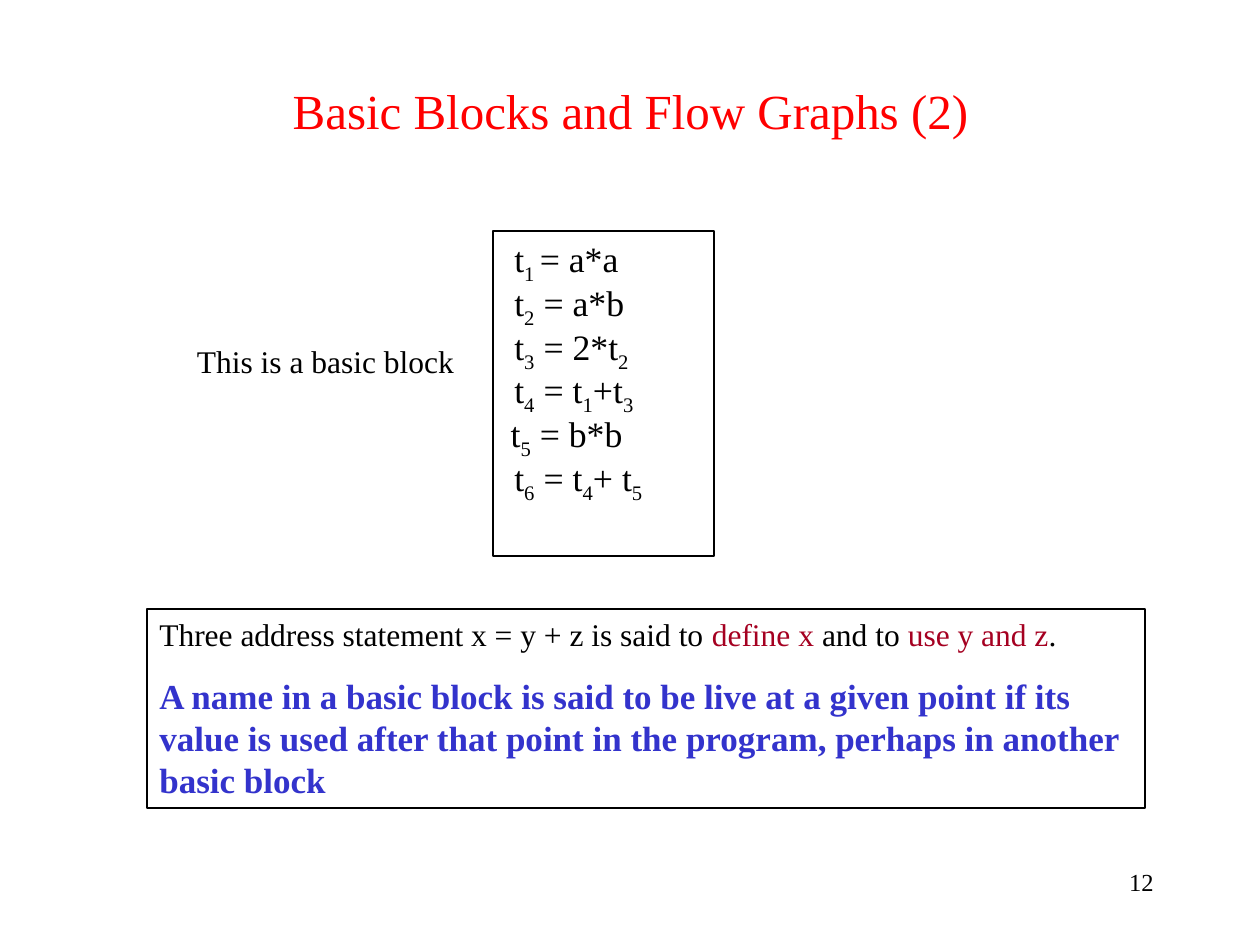
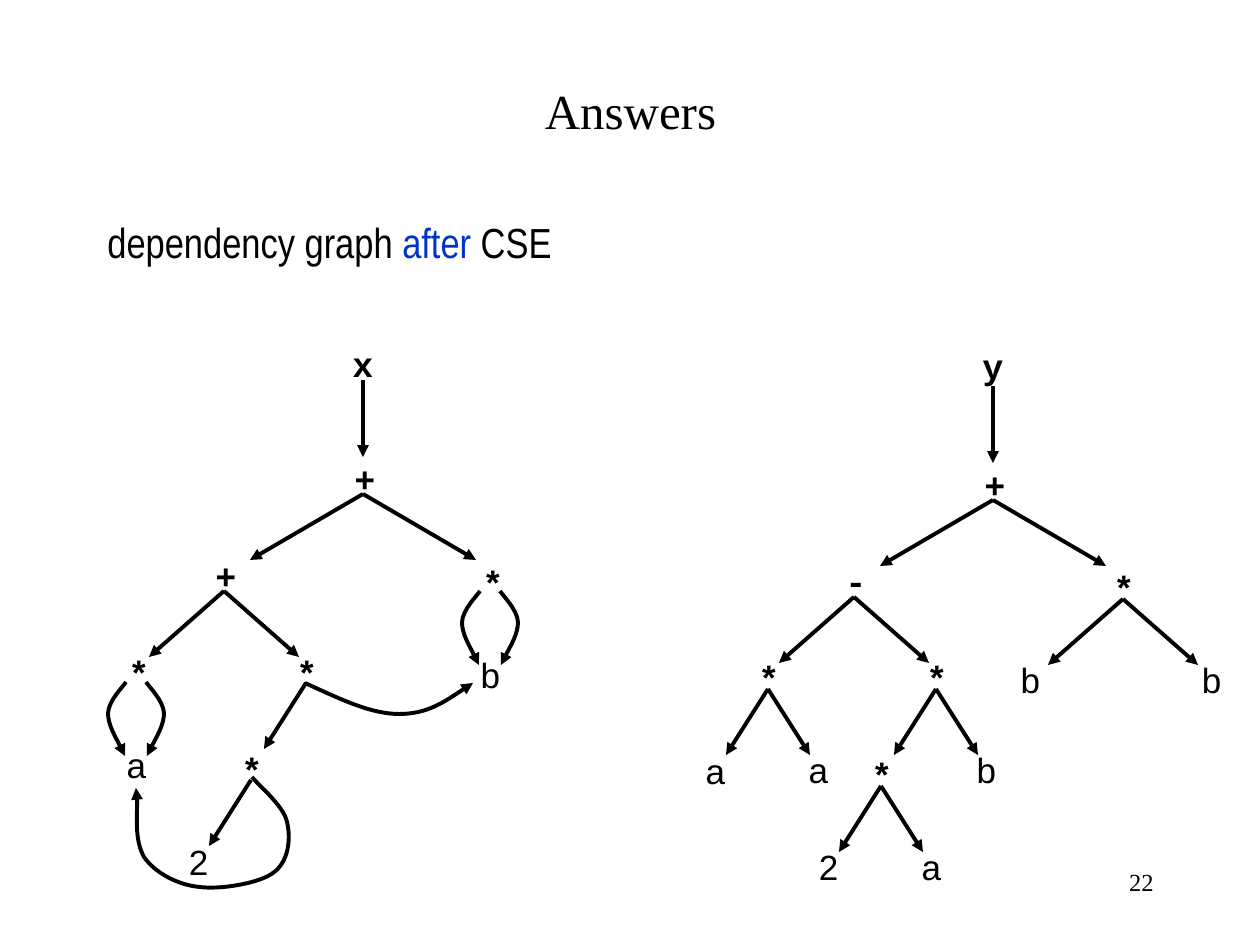
from dataclasses import dataclass

from lxml import etree
from pptx import Presentation
from pptx import util as u
from pptx.dml.color import RGBColor
from pptx.enum import shapes, text
from pptx.oxml.ns import qn

EMU_PER_PX = 914400 / 126


def px(length):
    return u.Emu(round(length * EMU_PER_PX))


@dataclass(frozen=True)
class Theme:
    black: str = "000000"
    red: str = "FF0000"
    crimson: str = "A50021"
    indigo: str = "3333CC"
    blue: str = "0033CC"
    serif: str = "Times New Roman"
    sans: str = "Arial"
    narrow: str = "Arial Narrow"
    mono: str = "Courier New"
    title: float = 28
    lead: float = 24
    code: float = 20.4
    node: float = 20
    emphasis: float = 20
    note: float = 18
    number: float = 14
    frame: float = 0.75
    edge: float = 2.25


class Deck:
    def __init__(self, theme):
        self.theme = theme
        self.presentation = Presentation()
        self.presentation.slide_width = px(1260)
        self.presentation.slide_height = px(945)
        self.slide = None

    def start(self, title, number, color):
        layout = self.presentation.slide_layouts[6]
        self.slide = self.presentation.slides.add_slide(layout)
        theme = self.theme
        self.text((903, 861, 263, 63), [[(number, {})]], theme.number,
                  align=text.PP_ALIGN.RIGHT)
        self.text((95, 31, 1071, 158), [[(title, {"color": color})]], theme.title,
                  align=text.PP_ALIGN.CENTER, anchor=text.MSO_ANCHOR.MIDDLE)

    def text(self, area, paragraphs, size, font=None, align=text.PP_ALIGN.LEFT,
             anchor=text.MSO_ANCHOR.TOP, framed=False, wrap=True,
             line_spacing=None, gap=0, hanging=0):
        box = [px(length) for length in area]
        if framed:
            shape = self.slide.shapes.add_shape(shapes.MSO_SHAPE.RECTANGLE, *box)
            shape.shadow.inherit = False
            shape.fill.background()
            shape.line.color.rgb = RGBColor.from_string(self.theme.black)
            shape.line.width = u.Pt(self.theme.frame)
        else:
            shape = self.slide.shapes.add_textbox(*box)
        frame = shape.text_frame
        frame.word_wrap = wrap
        frame.vertical_anchor = anchor
        for index, runs in enumerate(paragraphs):
            paragraph = frame.add_paragraph() if index else frame.paragraphs[0]
            paragraph.alignment = align
            paragraph.line_spacing = line_spacing
            if hanging:
                properties = paragraph._p.get_or_add_pPr()
                properties.set("marL", str(px(hanging)))
                properties.set("indent", str(-px(hanging)))
            if index and gap:
                paragraph.space_before = u.Pt(gap)
            for words, style in runs:
                self.run(paragraph, words, **{"size": size, "font": font, **style})

    def run(self, paragraph, words, size, font, color=None, bold=False, subscript=False):
        run = paragraph.add_run()
        run.text = words
        run.font.name = font or self.theme.serif
        run.font.size = u.Pt(size)
        run.font.bold = bold
        run.font.color.rgb = RGBColor.from_string(color or self.theme.black)
        if subscript:
            run.font._element.set("baseline", "-25000")

    def node(self, label, center, top):
        leaf = label in "ab2"
        font, half_width = (self.theme.sans, 22) if leaf else (self.theme.mono, 23)
        self.text((center - half_width, top, 45, 55), [[(label, {"bold": not leaf})]],
                  self.theme.node, font, align=text.PP_ALIGN.CENTER, wrap=False)

    def finish_edge(self, shape):
        shape.line.color.rgb = RGBColor.from_string(self.theme.black)
        shape.line.width = u.Pt(self.theme.edge)
        line = shape.line._get_or_add_ln()
        etree.SubElement(line, qn("a:tailEnd"), type="triangle")
        etree.SubElement(shape._element.spPr, qn("a:effectLst"))

    def arrow(self, start, end):
        points = [px(length) for length in (*start, *end)]
        self.finish_edge(self.slide.shapes.add_connector(
            shapes.MSO_CONNECTOR.STRAIGHT, *points))

    def fork(self, apex, half_width, drop, sides=(-1, 1)):
        x, y = apex
        for side in sides:
            self.arrow(apex, (x + side * half_width, y + drop))

    def curve(self, points):
        start, *controls = [(px(x), px(y)) for x, y in points]
        builder = self.slide.shapes.build_freeform(*start)
        builder.add_line_segments(controls, close=False)
        shape = builder.convert_to_shape()
        outline = shape._element.find(".//" + qn("a:path"))
        segments = outline.findall(qn("a:lnTo"))
        for first in range(0, len(segments), 3):
            bend = etree.SubElement(outline, qn("a:cubicBezTo"))
            for segment in segments[first:first + 3]:
                bend.append(segment[0])
                outline.remove(segment)
        shape.fill.background()
        self.finish_edge(shape)

    def loop_pair(self, center, top):
        offsets = [(10, 0), (13, 5), (27, 18), (28, 31), (28, 43), (15, 65), (11, 74)]
        for side in (1, -1):
            self.curve([(center + side * x, top + y) for x, y in offsets])


def statement(source):
    pieces = source.split("_")
    runs = [(pieces[0], {})]
    for piece in pieces[1:]:
        runs += [(piece[0], {"subscript": True}), (piece[1:], {})]
    return [run for run in runs if run[0]]


def basic_block_slide(deck):
    theme = deck.theme
    deck.start("Basic Blocks and Flow Graphs (2)", "12", theme.red)
    code = [statement(line) for line in (
        " t_1 = a*a", " t_2 = a*b", " t_3 = 2*t_2",
        " t_4 = t_1+t_3", "t_5 = b*b", " t_6 = t_4+ t_5")]
    code[0][1:] = [("1 ", {"subscript": True}), ("= a*a", {})]
    code[4].insert(0, (" ", {"subscript": True}))
    deck.text((493, 231, 221, 325), code, theme.code, framed=True,
              line_spacing=0.9, hanging=47)
    deck.text((157, 336, 337, 50), [[("This is a basic block", {})]], theme.note,
              align=text.PP_ALIGN.CENTER)
    definition = [
        ("Three address statement x = y + z is said to ", {}),
        ("define x", {"color": theme.crimson}),
        (" and to ", {}),
        ("use y and z", {"color": theme.crimson}),
        (".", {}),
    ]
    liveness = [("A name in a basic block is said to be live at a given point if its "
                 "value is used after that point in the program, perhaps in another "
                 "basic block",
                 {"size": theme.emphasis, "color": theme.indigo, "bold": True})]
    deck.text((147, 609, 998, 199), [definition, liveness], theme.note,
              framed=True, gap=12.5)


def answers_slide(deck):
    theme = deck.theme
    deck.start("Answers", "22", theme.black)
    deck.text((95, 210, 1071, 630), [[
        ("dependency graph ", {}), ("after", {"color": theme.blue}), (" CSE", {}),
    ]], theme.lead, theme.narrow, hanging=47)

    x_nodes = [("x", 363, 336), ("+", 365, 451), ("+", 226, 548), ("*", 493, 555),
               ("*", 139, 645), ("*", 307, 645), ("b", 490, 647), ("a", 136, 737),
               ("*", 252, 742), ("2", 198, 834)]
    y_nodes = [("y", 993, 338), ("+", 995, 457), ("-", 856, 553), ("*", 1124, 560),
               ("*", 769, 650), ("*", 937, 650), ("b", 1030, 652), ("b", 1211, 652),
               ("a", 715, 743), ("a", 818, 742), ("*", 882, 747), ("b", 986, 742),
               ("2", 828, 839), ("a", 931, 839)]
    for node in x_nodes + y_nodes:
        deck.node(*node)

    for root, top in ((363, 380), (993, 386)):
        deck.arrow((root, top), (root, top + 77))
        deck.fork((root, top + 114), 113, 66)
    for apex in ((224, 591), (854, 597), (1123, 599)):
        deck.fork(apex, 75, 66)
    for apex in ((768, 689), (936, 689), (881, 786)):
        deck.fork(apex, 42, 66)
    for apex in ((306, 683), (251, 780)):
        deck.fork(apex, 42, 66, sides=(-1,))

    deck.loop_pair(136, 682)
    deck.loop_pair(490, 591)
    deck.curve([(305, 683), (338, 698), (370, 714), (399, 714),
                (428, 714), (450, 698), (473, 683)])
    deck.curve([(252, 777), (258, 785), (284, 806), (287, 822),
                (291, 838), (289, 862), (273, 873),
                (260, 883), (221, 890), (199, 887),
                (178, 885), (155, 873), (144, 857),
                (134, 839), (139, 801), (136, 788)])


def main():
    deck = Deck(Theme())
    basic_block_slide(deck)
    answers_slide(deck)
    deck.presentation.save("out.pptx")


if __name__ == "__main__":
    main()
